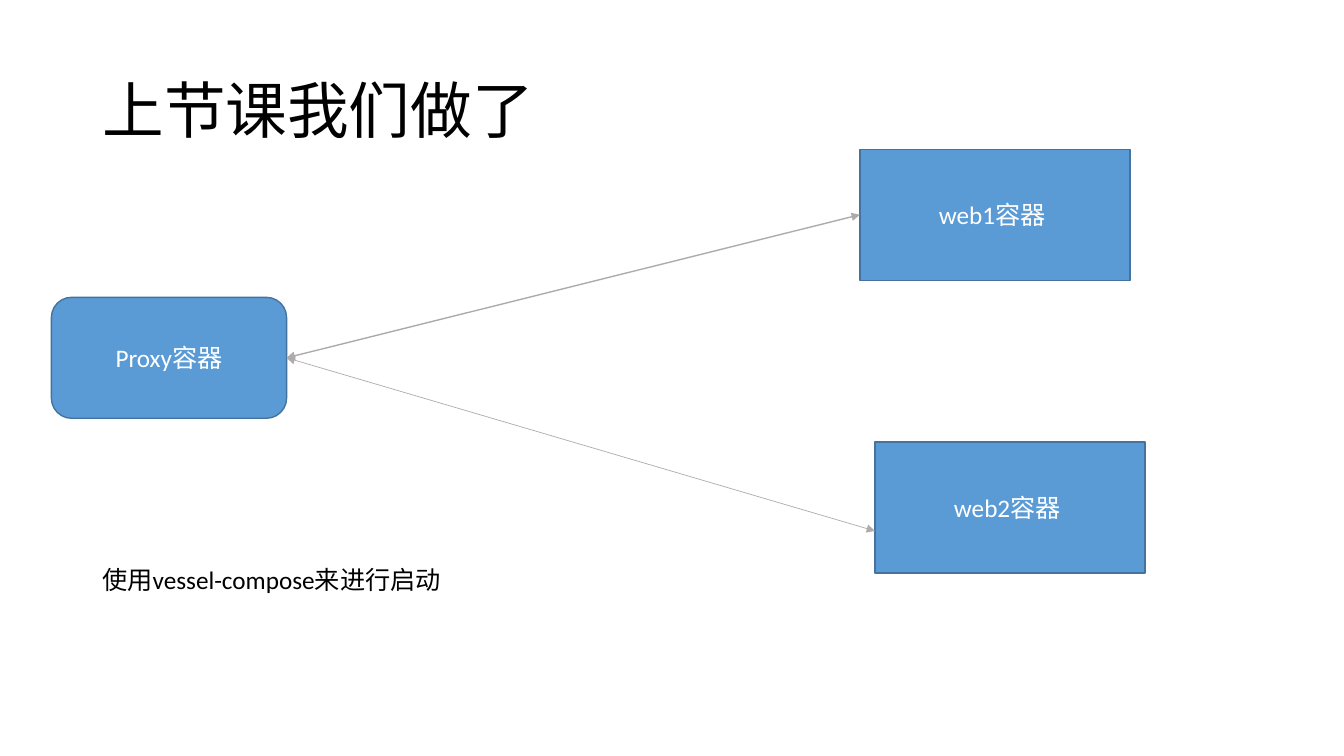
import pptx
import pptx.util
import pptx.dml.color
import pptx.enum.shapes
import pptx.enum.text
import pptx.oxml.ns
import lxml.etree

Pt = pptx.util.Pt
SHAPES = pptx.enum.shapes.MSO_SHAPE
ALIGN = pptx.enum.text.PP_ALIGN
ANCHOR = pptx.enum.text.MSO_ANCHOR
FONT = "Calibri"


def color(hex_string):
    return pptx.dml.color.RGBColor.from_string(hex_string)


def place(shape, box):
    shape.left, shape.top, shape.width, shape.height = map(Pt, box)


def write(shape, text, size, ink, align=ALIGN.LEFT, anchor=ANCHOR.MIDDLE):
    frame = shape.text_frame
    frame.word_wrap = True
    frame.vertical_anchor = anchor
    paragraph = frame.paragraphs[0]
    paragraph.alignment = align
    run = paragraph.add_run()
    run.text = text
    run.font.name = FONT
    run.font.size = Pt(size)
    run.font.color.rgb = color(ink)
    return paragraph


def add_title(slide, box, text):
    title = slide.shapes.title
    place(title, box)
    write(title, text, 44, "000000").line_spacing = 0.9


def add_container(slide, box, text, kind=SHAPES.RECTANGLE):
    shape = slide.shapes.add_shape(kind, *map(Pt, box))
    shape.shadow.inherit = False
    shape.fill.solid()
    shape.fill.fore_color.rgb = color("5B9BD5")
    shape.line.color.rgb = color("43739E")
    shape.line.width = Pt(1)
    write(shape, text, 18, "FFFFFF", ALIGN.CENTER)


def add_arrow(slide, start, end, width):
    arrow = slide.shapes.add_connector(
        pptx.enum.shapes.MSO_CONNECTOR.STRAIGHT, *map(Pt, start + end))
    arrow.line.color.rgb = color("AFABAB")
    arrow.line.width = Pt(width)
    qn = pptx.oxml.ns.qn
    properties = arrow.element.find(qn("p:spPr"))
    line = properties.find(qn("a:ln"))
    for tip in ("a:headEnd", "a:tailEnd"):
        lxml.etree.SubElement(line, qn(tip), type="triangle")
    lxml.etree.SubElement(properties, qn("a:effectLst"))


def add_diagram(slide, box):
    left, top = box[:2]
    proxy_width, proxy_height = 168, 86.4
    web_width, web_height = 193, 93.6
    proxy_top = top + 105.8
    add_container(slide, (left, proxy_top, proxy_width, proxy_height),
                  "Proxy容器", SHAPES.ROUNDED_RECTANGLE)
    # Web containers: name, offset, arrow height on the left edge, line width
    start = (left + proxy_width, proxy_top + proxy_height / 2)
    webs = [("web1容器 ", 577.5, 0, 0.5, 1),
            ("web2容器 ", 588.3, 209, 0.68, 0.5)]
    for name, across, down, share, line_width in webs:
        web_left, web_top = left + across, top + down
        add_container(slide, (web_left, web_top, web_width, web_height), name)
        add_arrow(slide, start, (web_left, web_top + share * web_height),
                  line_width)


def add_note(slide, box, text):
    note = slide.shapes.add_textbox(*map(Pt, box))
    write(note, text, 18, "000000", anchor=ANCHOR.TOP)
    note.text_frame.auto_size = pptx.enum.text.MSO_AUTO_SIZE.SHAPE_TO_FIT_TEXT


presentation = pptx.Presentation()
presentation.slide_width = Pt(960)
presentation.slide_height = Pt(540)
slide = presentation.slides.add_slide(presentation.slide_layouts[5])

add_title(slide, (66, 28.8, 828, 104.4), "上节课我们做了")
add_diagram(slide, (36.7, 106.6, 781.3, 302.6))
add_note(slide, (66, 399.6, 330, 29), "使用vessel-compose来进行启动")

presentation.save("out.pptx")
